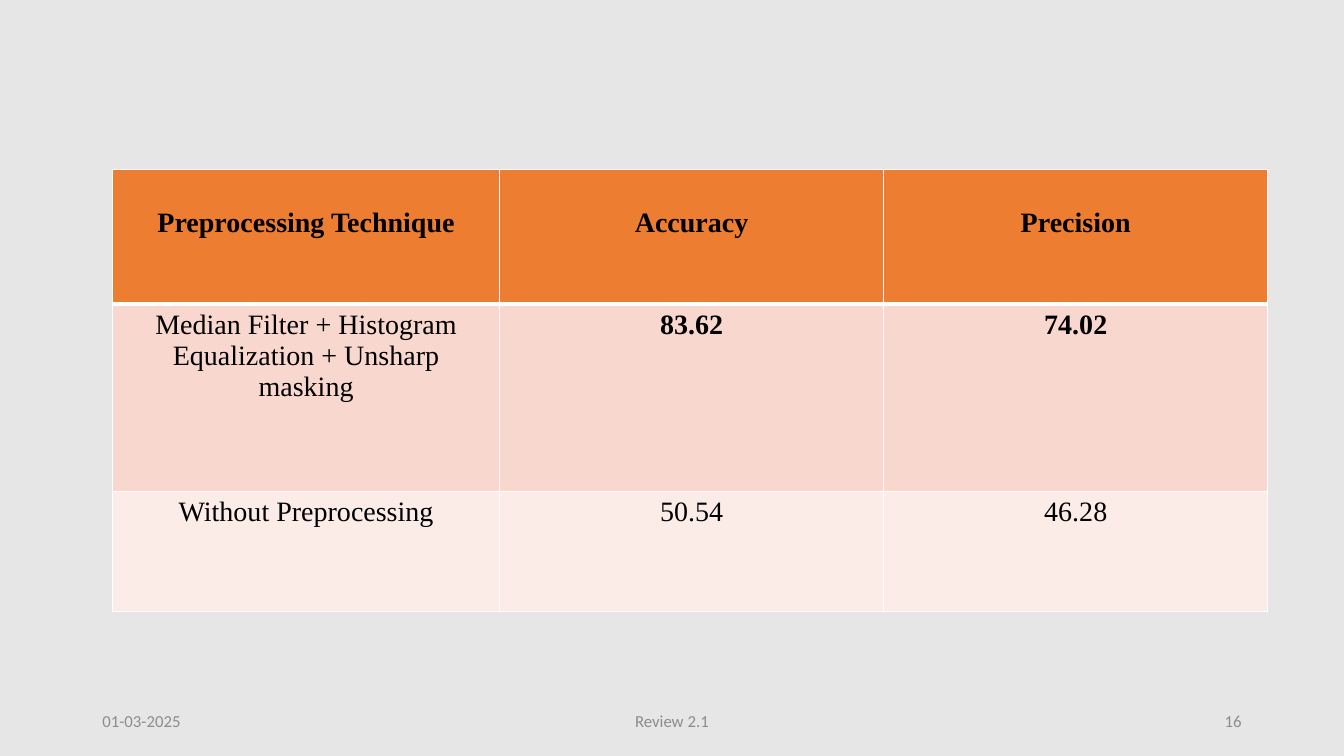
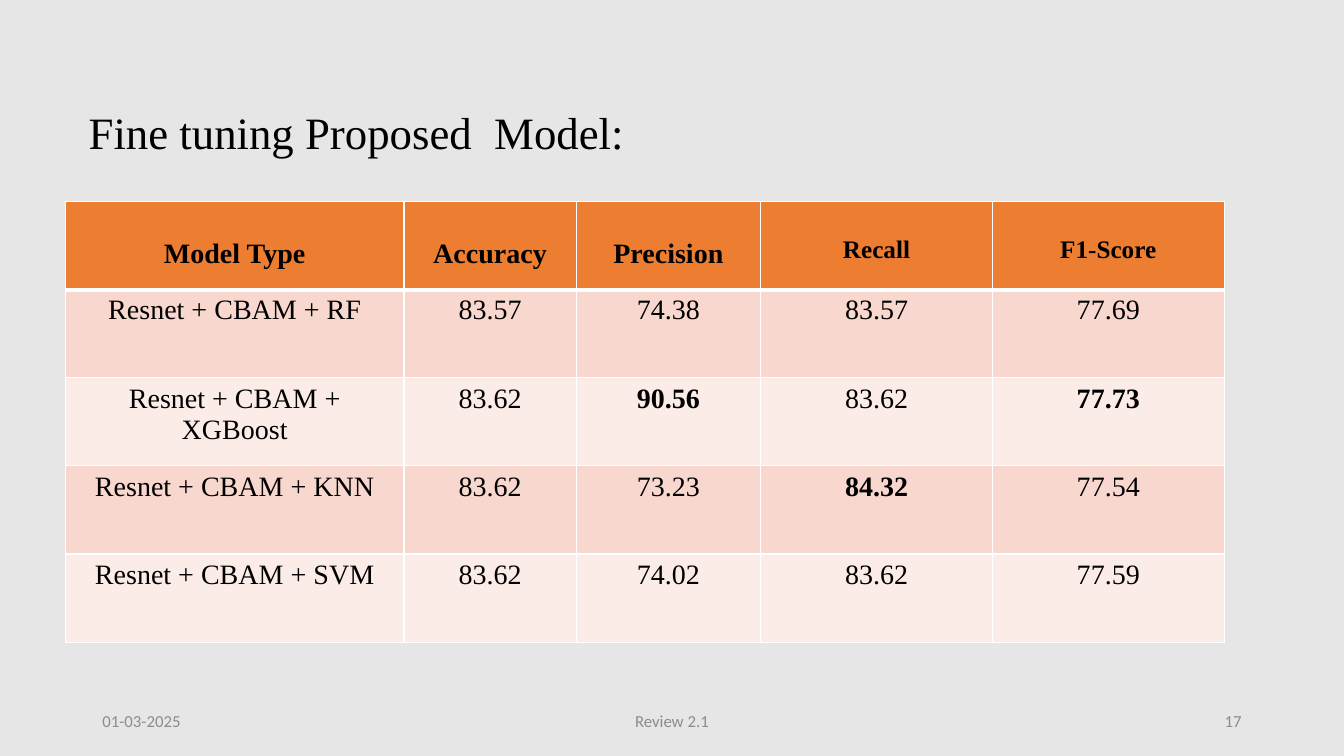
from lxml.etree import SubElement
from pptx import Presentation
from pptx.dml.color import RGBColor
from pptx.enum.text import MSO_ANCHOR as Anchor, PP_ALIGN as Align
from pptx.oxml.ns import qn
from pptx.util import Cm, Pt

COLOURS = {
    "background": "E7E6E6",
    "header": "ED7D31",
    "odd_row": "F8D7CE",
    "even_row": "FCECE8",
    "border": "FFFFFF",
    "text": "000000",
    "footer": "8C8C8C",
}
SERIF, SANS = "Times New Roman", "Calibri"
TITLE_ONLY, BLANK = 5, 6
CELL_MARGIN = Cm(0.13)
LINE_HEIGHT = 1.15


def colour(name):
    """Return a named colour of the deck."""
    return RGBColor.from_string(COLOURS[name])


def add_span(para, text, font, size, ink, bold=False):
    """Add one formatted run to a paragraph."""
    span = para.add_run()
    span.text = text
    span.font.name = font
    span.font.size = Pt(size)
    span.font.bold = bold
    span.font.color.rgb = colour(ink)


def set_borders(cell, top, bottom):
    """Draw the cell's four borders, with given top and bottom widths."""
    properties = cell._tc.get_or_add_tcPr()
    for side, width in (("L", 1), ("R", 1), ("T", top), ("B", bottom)):
        line = SubElement(properties, qn(f"a:ln{side}"), w=str(Pt(width)))
        fill = SubElement(line, qn("a:solidFill"))
        SubElement(fill, qn("a:srgbClr"), val=COLOURS["border"])


def fill_cell(cell, text, row, size, bold):
    """Write and style one cell according to its row."""
    set_borders(cell, top=3 if row == 1 else 1, bottom=3 if row == 0 else 1)
    band = "header" if row == 0 else ("even_row", "odd_row")[row % 2]
    cell.fill.solid()
    cell.fill.fore_color.rgb = colour(band)
    cell.margin_top = CELL_MARGIN + (Pt(size * LINE_HEIGHT) if row == 0 else 0)
    para = cell.text_frame.paragraphs[0]
    para.alignment = Align.CENTER
    add_span(para, text, SERIF, size, "text", bold)


def add_score_table(page, left, top, widths, heights, rows, best, small_headers=()):
    """Add a table of scores; best holds the (row, column) of bold scores."""
    frame = page.shapes.add_table(
        len(rows), len(widths), Cm(left), Cm(top), Cm(sum(widths)), Cm(sum(heights)))
    table = frame.table
    for column, width in zip(table.columns, widths):
        column.width = Cm(width)
    for row, (height, texts) in enumerate(zip(heights, rows)):
        table.rows[row].height = Cm(height)
        for column, text in enumerate(texts):
            size = 18 if row == 0 and text in small_headers else 20
            bold = row == 0 or (row, column) in best
            fill_cell(table.cell(row, column), text, row, size, bold)


def add_footer(page, number):
    """Add the date, the review name and the page number."""
    parts = (
        ("01-03-2025", 2.33, 7.62, Align.LEFT),
        ("Review 2.1", 11.22, 11.43, Align.CENTER),
        (str(number), 23.92, 7.62, Align.RIGHT),
    )
    for text, left, width, alignment in parts:
        box = page.shapes.add_textbox(Cm(left), Cm(17.65), Cm(width), Cm(1.01))
        frame = box.text_frame
        frame.word_wrap = True
        frame.vertical_anchor = Anchor.MIDDLE
        para = frame.paragraphs[0]
        para.alignment = alignment
        add_span(para, text, SANS, 12, "footer")


def set_title(page, text):
    """Place and write the title placeholder."""
    title = page.shapes.title
    title.left, title.top, title.width, title.height = Cm(1.98), Cm(2.6), Cm(29.21), Cm(2.84)
    frame = title.text_frame
    frame.word_wrap = True
    frame.vertical_anchor = Anchor.TOP
    frame.margin_top = Cm(0.2)
    para = frame.paragraphs[0]
    para.alignment = Align.LEFT
    para.line_spacing = 0.9
    add_span(para, text, SERIF, 32, "text")


def add_page(deck, layout, number):
    """Add a page with the shared footer."""
    page = deck.slides.add_slide(deck.slide_layouts[layout])
    add_footer(page, number)
    return page


def add_preprocessing_page(deck):
    """Add the comparison of preprocessing techniques."""
    page = add_page(deck, BLANK, 16)
    rows = (
        ("Preprocessing Technique", "Accuracy", "Precision"),
        ("Median Filter + Histogram Equalization + Unsharp masking", "83.62", "74.02"),
        ("Without Preprocessing", "50.54", "46.28"),
    )
    add_score_table(page, 2.84, 4.28, (9.75, 9.68, 9.68), (3.38, 4.72, 3.02),
                    rows, best={(1, 1), (1, 2)})


def add_tuning_page(deck):
    """Add the comparison of fine-tuned models."""
    page = add_page(deck, TITLE_ONLY, 17)
    set_title(page, "Fine tuning Proposed  Model:")
    rows = (
        ("Model Type", "Accuracy", "Precision", "Recall", "F1-Score"),
        ("Resnet + CBAM + RF", "83.57", "74.38", "83.57", "77.69"),
        ("Resnet + CBAM + XGBoost", "83.62", "90.56", "83.62", "77.73"),
        ("Resnet + CBAM + KNN", "83.62", "73.23", "84.32", "77.54"),
        ("Resnet + CBAM + SVM", "83.62", "74.02", "83.62", "77.59"),
    )
    add_score_table(page, 1.65, 5.08, (8.53, 4.34, 4.65, 5.84, 5.84), (2.22,) * len(rows),
                    rows, best={(2, 2), (2, 4), (3, 3)},
                    small_headers=("Recall", "F1-Score"))


def main():
    """Build and save the deck."""
    deck = Presentation()
    deck.slide_width, deck.slide_height = Cm(33.87), Cm(19.05)
    background = deck.slide_master.background.fill
    background.solid()
    background.fore_color.rgb = colour("background")
    add_preprocessing_page(deck)
    add_tuning_page(deck)
    deck.save("out.pptx")


if __name__ == "__main__":
    main()
